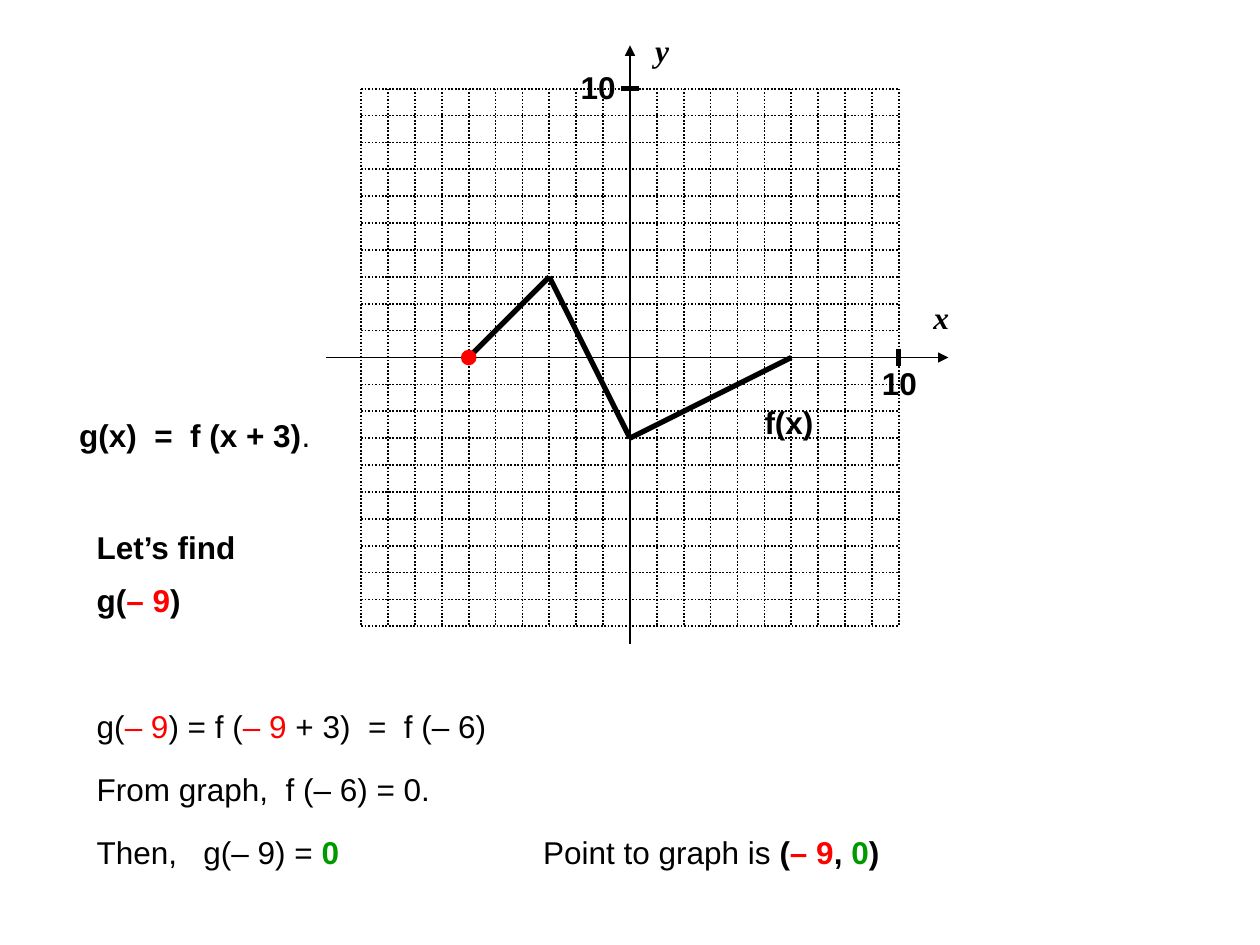
from typing import NamedTuple

from lxml import etree
from pptx import Presentation
from pptx.dml.color import RGBColor
from pptx.enum import dml, shapes, text
from pptx.oxml import ns
from pptx.util import Pt

BLACK, RED, GREEN = "000000", "FF0000", "009900"
ORIGIN_X, ORIGIN_Y, STEP, SPAN = 360, 204.3, 15.36, 10


class Run(NamedTuple):
    words: str
    color: str = BLACK
    bold: bool = False


class Label(NamedTuple):
    left: float
    top: float
    width: float
    runs: list[Run]
    font: str = "Arial"
    italic: bool = False
    wrap: bool = False


class Line(NamedTuple):
    start: tuple[float, float]
    end: tuple[float, float]
    weight: float
    dotted: bool = False
    arrow: bool = False


def rgb(code: str) -> RGBColor:
    return RGBColor.from_string(code)


def spot(x: float, y: float) -> tuple[float, float]:
    """Turn graph units into slide points."""
    return ORIGIN_X + x * STEP, ORIGIN_Y - y * STEP


def draw_line(tree, line: Line) -> None:
    ends = [Pt(v) for v in (*line.start, *line.end)]
    wire = tree.add_connector(shapes.MSO_CONNECTOR.STRAIGHT, *ends)
    wire.line.color.rgb = rgb(BLACK)
    wire.line.width = Pt(line.weight)
    if line.dotted:
        wire.line.dash_style = dml.MSO_LINE.ROUND_DOT
    props = wire.element.spPr
    if line.arrow:
        head = etree.SubElement(props.find(ns.qn("a:ln")), ns.qn("a:headEnd"))
        head.set("type", "triangle")
    etree.SubElement(props, ns.qn("a:effectLst"))


def draw_label(tree, label: Label) -> None:
    box = tree.add_textbox(Pt(label.left), Pt(label.top), Pt(label.width), Pt(29))
    frame = box.text_frame
    frame.word_wrap = label.wrap
    frame.auto_size = text.MSO_AUTO_SIZE.SHAPE_TO_FIT_TEXT
    for part in label.runs:
        run = frame.paragraphs[0].add_run()
        run.text = part.words
        run.font.name = label.font
        run.font.size = Pt(18)
        run.font.bold = part.bold
        run.font.italic = label.italic
        run.font.color.rgb = rgb(part.color)


def draw_dot(tree, x: float, y: float, size: float) -> None:
    left, top = spot(x, y)
    dot = tree.add_shape(shapes.MSO_SHAPE.OVAL, Pt(left - size / 2),
                         Pt(top - size / 2), Pt(size), Pt(size))
    dot.shadow.inherit = False
    dot.fill.solid()
    dot.fill.fore_color.rgb = rgb(RED)
    dot.line.color.rgb = rgb(RED)
    dot.line.width = Pt(0.75)


# Vertices of f(x), in graph units
CURVE = [(-6, 0), (-3, 3), (0, -3), (6, 0)]

AXES = [
    Line((ORIGIN_X, 26), (ORIGIN_X, 368), 0.75, arrow=True),
    Line((542, ORIGIN_Y), (186.5, ORIGIN_Y), 0.75, arrow=True),
]
TICKS = [
    Line(spot(SPAN, 0.33), spot(SPAN, -0.33), 3),
    Line(spot(-0.33, SPAN), spot(0.33, SPAN), 3),
]

LABELS = [
    # Graph
    Label(367.2, 14.4, 22.3, [Run("y", bold=True)], "Times New Roman", True),
    Label(526.3, 167, 23, [Run("x", bold=True)], "Times New Roman", True),
    Label(496.8, 204.5, 34.6, [Run("10", bold=True)]),
    Label(324.7, 35.3, 34.6, [Run("10", bold=True)]),
    Label(429.8, 226.8, 42.5, [Run("f(x)", bold=True)]),
    # Task
    Label(38.2, 234, 147, [Run("g(x)  =  f (x + 3)", bold=True), Run(".")]),
    Label(48.2, 298.1, 95, [Run("Let’s find", bold=True)]),
    Label(48.2, 328.3, 66, [Run("g(", bold=True), Run("– 9", RED, True),
                            Run(")", bold=True)]),
    # Working
    Label(48.2, 400.3, 243, [Run("g("), Run("– 9", RED), Run(") = f ("),
                             Run("– 9", RED), Run(" + 3)  =  f (– 6)")]),
    Label(48.2, 436.3, 208.1, [Run("From graph,  f (– 6) = 0.")], wrap=True),
    Label(48.2, 472.3, 159, [Run("Then,   g(– 9) = "), Run("0", GREEN, True)]),
    Label(303.3, 472.3, 211, [Run("Point to graph is "), Run("(", bold=True),
                              Run("– 9", RED, True), Run(", ", bold=True),
                              Run("0", GREEN, True), Run(")", bold=True)]),
]


def main() -> None:
    deck = Presentation()
    deck.slide_width, deck.slide_height = Pt(720), Pt(540)
    tree = deck.slides.add_slide(deck.slide_layouts[6]).shapes

    # Curve
    curve = tree.add_group_shape().shapes
    for start, end in zip(CURVE, CURVE[1:]):
        draw_line(curve, Line(spot(*start), spot(*end), 3))

    # Grid
    grid = tree.add_group_shape().shapes
    for n in range(-SPAN, SPAN + 1):
        draw_line(grid, Line(spot(n, SPAN), spot(n, -SPAN), 1, dotted=True))
    for n in range(-SPAN, SPAN + 1):
        draw_line(grid, Line(spot(-SPAN, n), spot(SPAN, n), 1, dotted=True))

    # Axes, marks and words
    for line in AXES + TICKS:
        draw_line(tree, line)
    draw_dot(tree, *CURVE[0], 8.2)
    for label in LABELS:
        draw_label(tree, label)

    deck.save("out.pptx")


if __name__ == "__main__":
    main()
